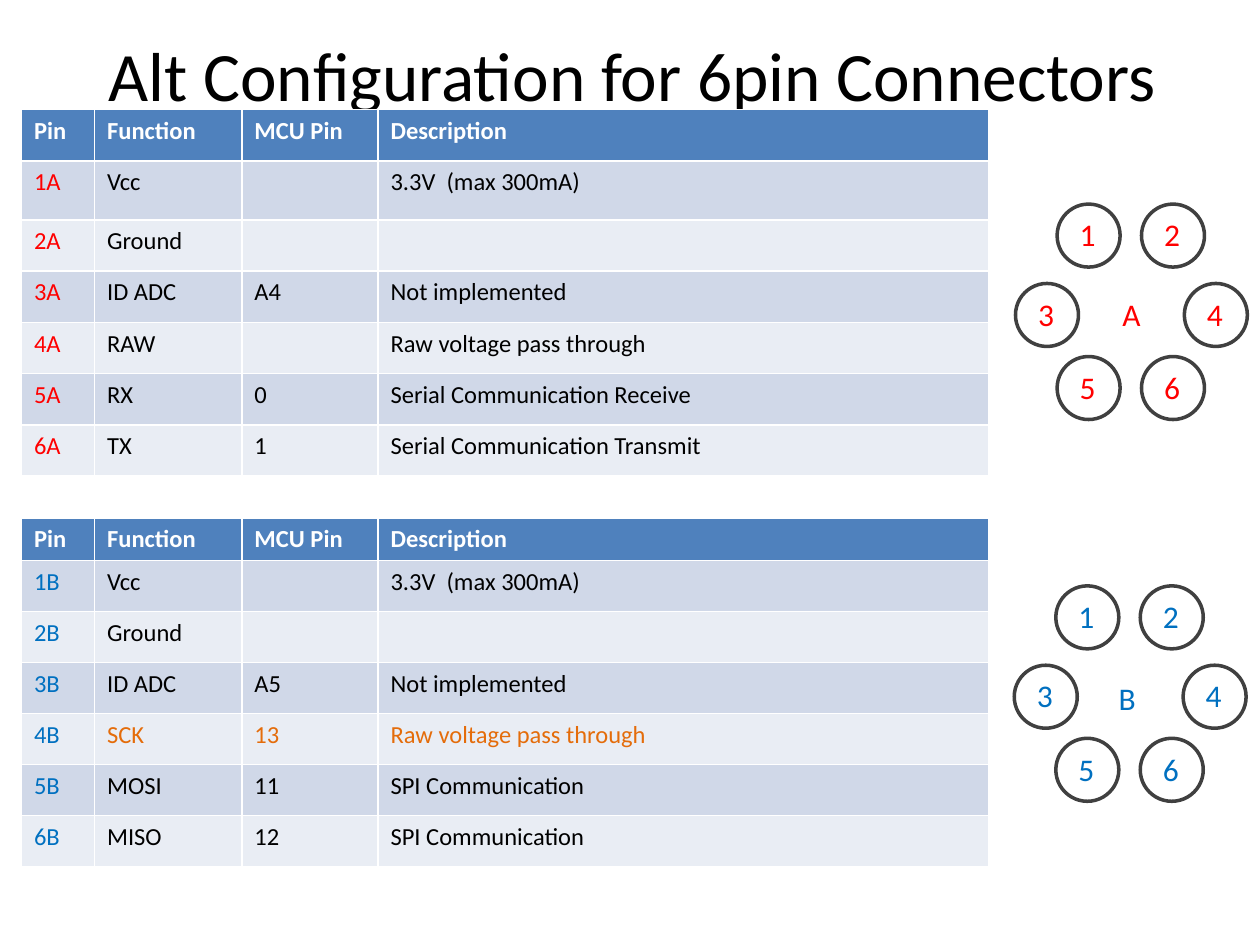
from dataclasses import dataclass

import pptx
import pptx.dml.color
import pptx.enum.shapes
import pptx.enum.text
import pptx.util

Inches = pptx.util.Inches


@dataclass(frozen=True)
class Theme:
    font: str = "Calibri"
    title_size: float = 39.6
    label_size: float = 18
    table_size: float = 14
    text: str = "000000"
    header_text: str = "FFFFFF"
    header_fill: str = "4F81BD"
    bands: tuple = ("D0D8E8", "E9EDF4")
    outline: str = "404040"
    outline_width: float = 2
    connector_a: str = "FF0000"
    connector_b: str = "0070C0"
    highlight: str = "E46C0A"


class SlideBuilder:
    def __init__(self, slide, theme):
        self.slide = slide
        self.theme = theme

    def color(self, value):
        return pptx.dml.color.RGBColor.from_string(value)

    def add_text(self, text_frame, text, size, color, bold=False):
        paragraph = text_frame.paragraphs[0]
        run = paragraph.add_run()
        run.text = text
        formats = {"name": self.theme.font, "size": pptx.util.Pt(size), "bold": bold}
        for name, value in formats.items():
            setattr(run.font, name, value)
        run.font.color.rgb = self.color(color)
        return paragraph

    def title(self, text, left, top, width, height):
        shape = self.slide.shapes.title
        box = {"left": left, "top": top, "width": width, "height": height}
        for name, value in box.items():
            setattr(shape, name, Inches(value))
        shape.text_frame.vertical_anchor = pptx.enum.text.MSO_ANCHOR.MIDDLE
        paragraph = self.add_text(shape.text_frame, text, self.theme.title_size, self.theme.text)
        paragraph.alignment = pptx.enum.text.PP_ALIGN.CENTER

    def label(self, text, left, top, width, color):
        shape = self.slide.shapes.add_textbox(
            Inches(left), Inches(top), Inches(width), Inches(0.4))
        shape.text_frame.word_wrap = True
        self.add_text(shape.text_frame, text, self.theme.label_size, color)

    def pin(self, number, left, top, color):
        shape = self.slide.shapes.add_shape(
            pptx.enum.shapes.MSO_SHAPE.OVAL,
            Inches(left), Inches(top), Inches(0.5), Inches(0.5))
        shape.shadow.inherit = False
        shape.fill.background()
        shape.line.color.rgb = self.color(self.theme.outline)
        shape.line.width = pptx.util.Pt(self.theme.outline_width)
        self.label(str(number), left + 0.08, top + 0.04, 0.42, color)

    def connector_face(self, left, top, color):
        for number, (x, y) in enumerate(PIN_OFFSETS, start=1):
            self.pin(number, left + x, top + y, color)

    def pin_table(self, letter, rows, top, height, tall_row, tall_height, pin_color):
        count = len(rows) + 1
        table = self.slide.shapes.add_table(
            count, len(HEADERS), Inches(TABLE_LEFT), Inches(top),
            Inches(sum(COLUMN_WIDTHS)), Inches(height)).table
        for column, width in zip(table.columns, COLUMN_WIDTHS):
            column.width = Inches(width)
        for index, row in enumerate(table.rows):
            regular = (height - tall_height) / (count - 1)
            row.height = Inches(tall_height if index == tall_row else regular)
        for column, text in enumerate(HEADERS):
            self.cell(table.cell(0, column), text, self.theme.header_fill,
                      self.theme.header_text, True)
        for index, values in enumerate(rows, start=1):
            fill = self.theme.bands[(index - 1) % 2]
            text_color = self.theme.highlight if values[0] == "SCK" else self.theme.text
            self.cell(table.cell(index, 0), f"{index}{letter}", fill, pin_color)
            for column, text in enumerate(values, start=1):
                self.cell(table.cell(index, column), text, fill, text_color)

    def cell(self, cell, text, fill, color, bold=False):
        cell.fill.solid()
        cell.fill.fore_color.rgb = self.color(fill)
        if text:
            self.add_text(cell.text_frame, text, self.theme.table_size, color, bold)


TABLE_LEFT = 0.17
COLUMN_WIDTHS = (0.58, 1.17, 1.08, 4.85)
HEADERS = ("Pin", "Function", "MCU Pin", "Description")
PIN_OFFSETS = ((0.33, 0), (1, 0), (0, 0.63), (1.34, 0.63), (0.33, 1.21), (1, 1.21))
POWER_ROWS = [("Vcc", "", "3.3V  (max 300mA)"), ("Ground", "", "")]
ROWS_A = POWER_ROWS + [
    ("ID ADC", "A4", "Not implemented"),
    ("RAW", "", "Raw voltage pass through"),
    ("RX", "0", "Serial Communication Receive"),
    ("TX", "1", "Serial Communication Transmit"),
]
ROWS_B = POWER_ROWS + [
    ("ID ADC", "A5", "Not implemented"),
    ("SCK", "13", "Raw voltage pass through"),
    ("MOSI", "11", "SPI Communication"),
    ("MISO", "12", "SPI Communication"),
]


def main():
    presentation = pptx.Presentation()
    presentation.slide_width = Inches(10)
    presentation.slide_height = Inches(7.5)
    slide = presentation.slides.add_slide(presentation.slide_layouts[5])
    theme = Theme()
    builder = SlideBuilder(slide, theme)

    builder.title("Alt Configuration for 6pin Connectors", 0.52, 0.17, 9, 0.83)
    builder.connector_face(8.06, 1.62, theme.connector_a)
    builder.connector_face(8.05, 4.65, theme.connector_b)
    builder.label("A", 8.81, 2.29, 0.47, theme.connector_a)
    builder.label("B", 8.78, 5.34, 0.47, theme.connector_b)
    builder.pin_table("A", ROWS_A, 0.87, 2.91, 1, 0.47, theme.connector_a)
    builder.pin_table("B", ROWS_B, 4.11, 2.77, 0, 0.34, theme.connector_b)

    presentation.save("out.pptx")


if __name__ == "__main__":
    main()
